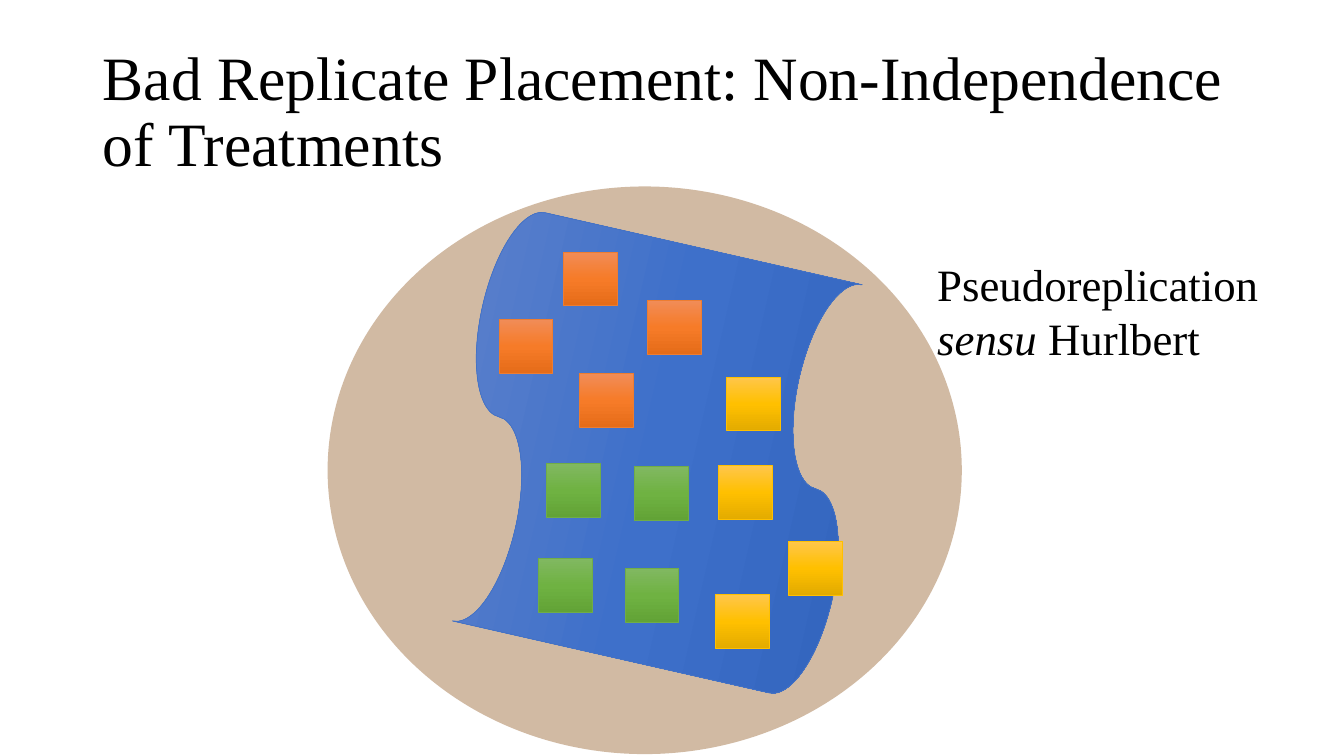
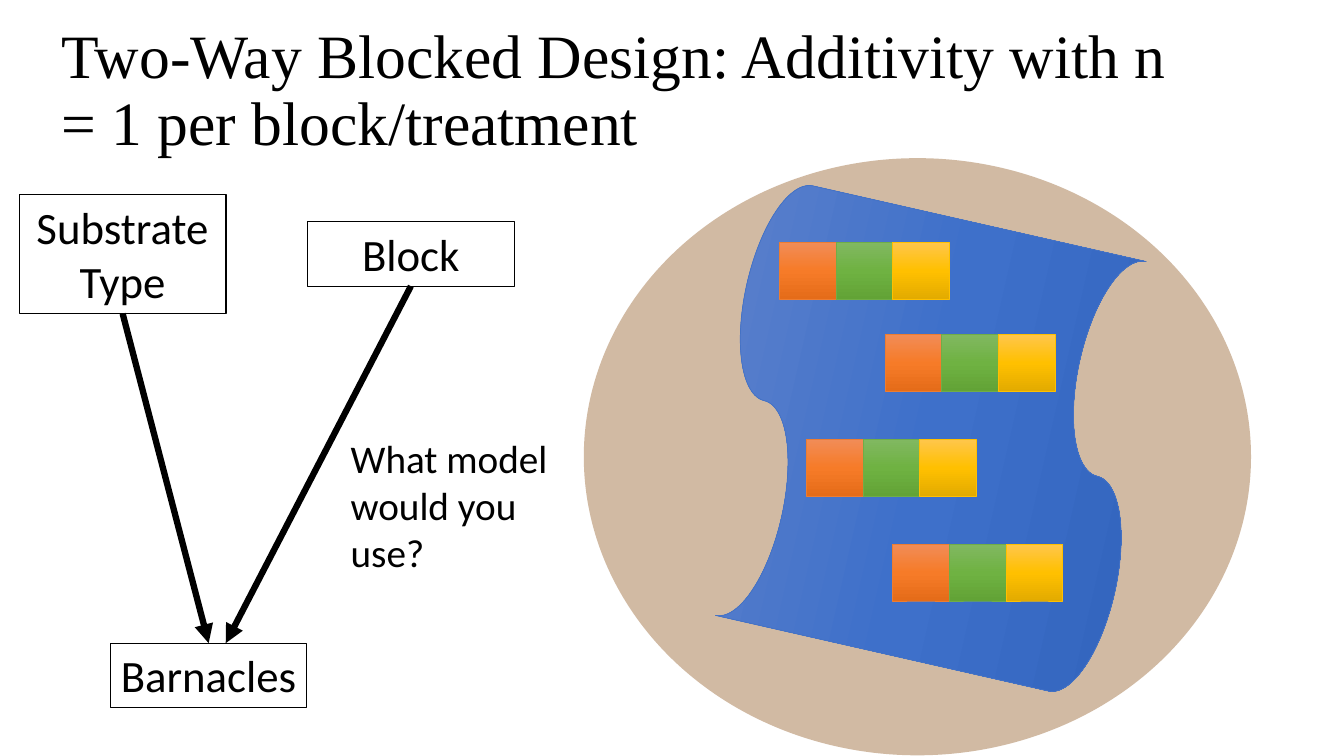
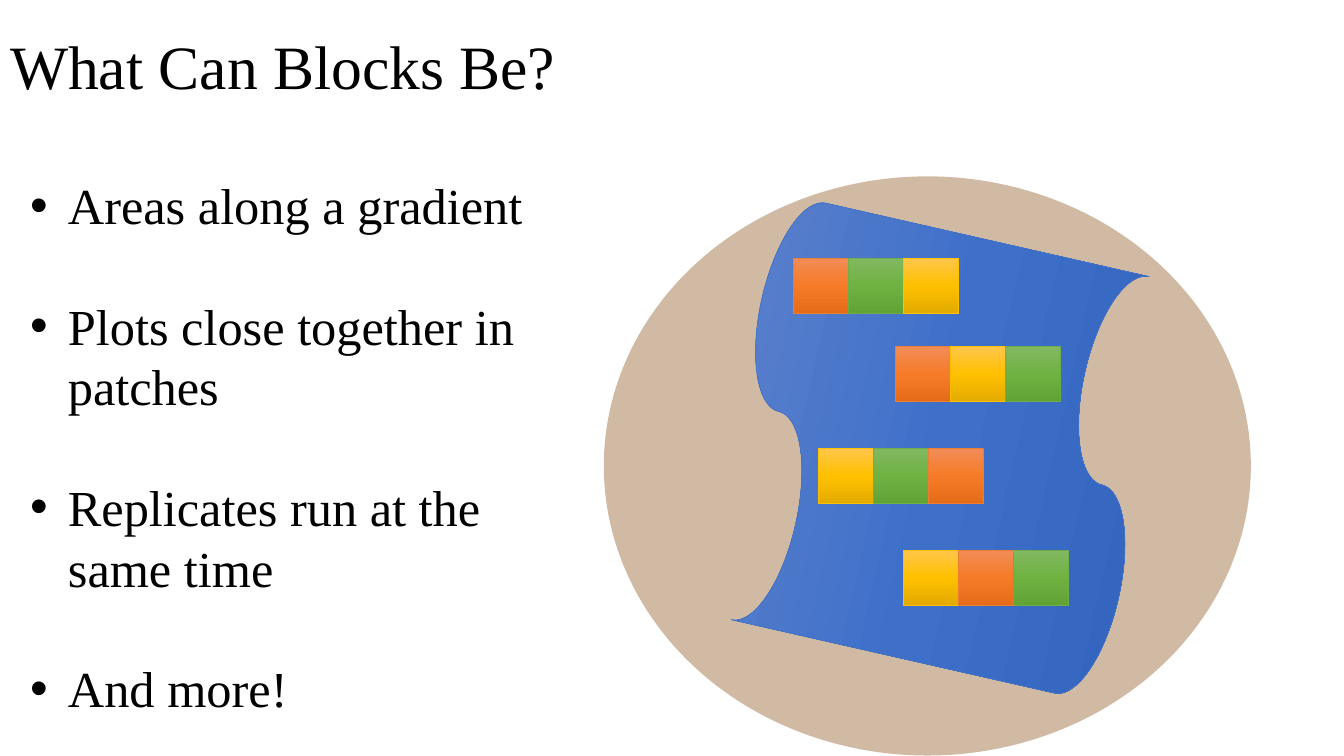
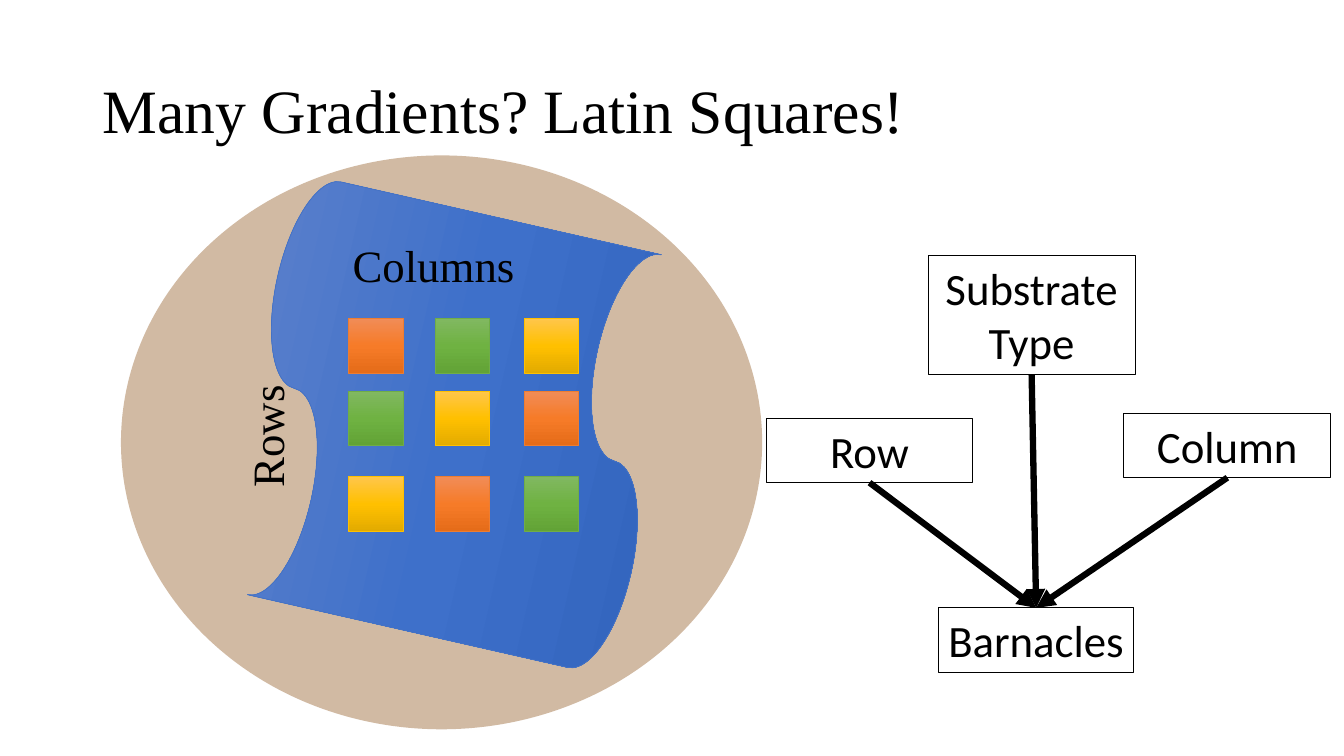
"""Build four slides on replicate placement, blocking and Latin squares."""
from copy import deepcopy
from dataclasses import dataclass
from itertools import product
from typing import NamedTuple

from lxml.etree import SubElement
from pptx import Presentation
from pptx.dml.color import RGBColor
from pptx.enum.shapes import MSO_CONNECTOR as Connector
from pptx.enum.shapes import MSO_SHAPE as Preset
from pptx.enum.text import MSO_ANCHOR as Anchor
from pptx.enum.text import MSO_AUTO_SIZE as AutoSize
from pptx.enum.text import PP_ALIGN as Align
from pptx.oxml.ns import qn
from pptx.util import Pt

BLACK = RGBColor(0x00, 0x00, 0x00)
SAND = RGBColor(0x99, 0x66, 0x33)
SAND_OPACITY = 45000
SERIF, SANS = "Times New Roman", "Calibri"
BOX_WIDTH, BOX_HEIGHT, TALL_BOX_HEIGHT = 147.8, 46, 85
BOTTOM, TOP = 2, 0


class Frame(NamedTuple):
    """Position and size in points."""
    left: float
    top: float
    width: float
    height: float

    def lengths(self) -> list:
        return [Pt(value) for value in self]


@dataclass(frozen=True)
class Treatment:
    """Gradient from top to bottom, and outline colour."""
    light: RGBColor
    middle: RGBColor
    dark: RGBColor
    outline: RGBColor


def treatment(*codes: str) -> Treatment:
    """Make a treatment from four hex codes."""
    return Treatment(*map(RGBColor.from_string, codes))


WATER = treatment("6183CB", "3E70CA", "3062BB", "4472C4")
ORANGE = treatment("F18C57", "F67B28", "E56C19", "ED7D31")
GREEN = treatment("81B861", "6FB242", "62A336", "70AD47")
YELLOW = treatment("FFC64B", "FFC000", "E3AB00", "FFC000")
TREATMENTS = (ORANGE, GREEN, YELLOW)


class Plot(NamedTuple):
    """One experimental plot."""
    left: float
    top: float
    treatment: Treatment


class Block(NamedTuple):
    """A row of adjoining plots."""
    left: float
    top: float
    treatments: tuple[Treatment, ...] = TREATMENTS


@dataclass(frozen=True)
class Shore:
    """Sandy ellipse with a pool; every size follows from its width."""
    left: float
    top: float
    width: float

    @property
    def plot_side(self) -> float:
        return self.width * 0.085

    def sand(self) -> Frame:
        return Frame(self.left, self.top, self.width, self.width * 0.895)

    def pool(self) -> Frame:
        return Frame(self.left + self.width * 0.19, self.top + self.width * 0.1,
                     self.width * 0.66, self.width * 0.64)


def add_gradient_shape(shapes, preset: Preset, frame: Frame, look: Treatment):
    """Draw a preset shape with a three-stop gradient."""
    shape = shapes.add_shape(preset, *frame.lengths())
    shape.shadow.inherit = False
    shape.fill.gradient()
    shape.fill.gradient_angle = 270
    stop_list = shape._element.spPr.find(qn("a:gradFill")).find(qn("a:gsLst"))
    stop_list.insert(1, deepcopy(stop_list[0]))
    colours = (look.light, look.middle, look.dark)
    for stop, position, colour in zip(shape.fill.gradient_stops, (0, 0.5, 1), colours):
        stop.position = position
        stop.color.rgb = colour
    shape.line.color.rgb = look.outline
    shape.line.width = Pt(0.5)
    return shape


def add_shore(slide, shore: Shore, plots: list[Plot]) -> None:
    """Draw the sand, the pool and its plots as one group."""
    shapes = slide.shapes.add_group_shape().shapes
    sand = shapes.add_shape(Preset.OVAL, *shore.sand().lengths())
    sand.shadow.inherit = False
    sand.fill.solid()
    sand.fill.fore_color.rgb = SAND
    colour = sand._element.spPr.find(qn("a:solidFill"))[0]
    SubElement(colour, qn("a:alpha"), val=str(SAND_OPACITY))
    sand.line.fill.background()
    pool = add_gradient_shape(shapes, Preset.WAVE, shore.pool(), WATER)
    pool._element.spPr.find(qn("a:prstGeom")).set("prst", "flowChartPunchedTape")
    pool.rotation = 282.8
    for plot in plots:
        frame = Frame(plot.left, plot.top, shore.plot_side, shore.plot_side)
        add_gradient_shape(shapes, Preset.RECTANGLE, frame, plot.treatment)


def block_plots(shore: Shore, blocks: list[Block]) -> list[Plot]:
    """Lay the plots of each block side by side."""
    return [Plot(block.left + index * shore.plot_side, block.top, look)
            for block in blocks for index, look in enumerate(block.treatments)]


def add_titled_slide(deck, title: str, left: float, top: float, width: float = 828):
    """Add a title-only slide and style its title."""
    slide = deck.slides.add_slide(deck.slide_layouts[5])
    heading = slide.shapes.title
    heading.left, heading.top, heading.width, heading.height = (
        Frame(left, top, width, 104.4).lengths())
    frame = heading.text_frame
    frame.text = title
    frame.auto_size = AutoSize.NONE
    frame.vertical_anchor = Anchor.MIDDLE
    paragraph = frame.paragraphs[0]
    paragraph.alignment = Align.LEFT
    paragraph.line_spacing = 0.9
    set_font(paragraph, SERIF, 44)
    return slide


def set_font(paragraph, face: str, size: float) -> None:
    """Set the font of a whole paragraph."""
    paragraph.font.name = face
    paragraph.font.size = Pt(size)
    paragraph.font.color.rgb = BLACK


def add_text(slide, frame: Frame, text: str, face: str = SERIF, size: float = 32):
    """Add wrapped text, one paragraph per line."""
    box = slide.shapes.add_textbox(*frame.lengths())
    box.text_frame.word_wrap = True
    box.text_frame.text = text
    for paragraph in box.text_frame.paragraphs:
        set_font(paragraph, face, size)
    return box


def add_factor(slide, text: str, left: float, top: float, width: float = BOX_WIDTH):
    """Add an outlined box of the causal diagram."""
    height = TALL_BOX_HEIGHT if "\n" in text else BOX_HEIGHT
    box = add_text(slide, Frame(left, top, width, height), text, SANS)
    box.text_frame.word_wrap = False
    box.line.color.rgb = BLACK
    box.line.width = Pt(0.75)
    for paragraph in box.text_frame.paragraphs:
        paragraph.alignment = Align.CENTER
    return box


def add_response(slide, left: float, top: float):
    """Add the box that the arrows point to."""
    return add_factor(slide, "Barnacles", left, top, 139.7)


def add_arrow(slide, factor, response, shift: float = 0) -> None:
    """Point from a factor to the response, shifted sideways if asked."""
    arrow = slide.shapes.add_connector(
        Connector.STRAIGHT, factor.left + factor.width // 2, factor.top + factor.height,
        response.left + response.width // 2 + Pt(shift), response.top)
    arrow.begin_connect(factor, BOTTOM)
    if not shift:
        arrow.end_connect(response, TOP)
    arrow.line.color.rgb = BLACK
    arrow.line.width = Pt(4.5)
    SubElement(arrow.line._get_or_add_ln(), qn("a:tailEnd"), type="triangle")
    SubElement(arrow._element.spPr, qn("a:effectLst"))


def add_bullets(slide, frame: Frame, text: str) -> None:
    """Add a widely spaced bullet list."""
    for paragraph in add_text(slide, frame, text, SERIF, 36).text_frame.paragraphs:
        paragraph.space_after = Pt(43)
        properties = paragraph._p.get_or_add_pPr()
        properties.set("marL", str(Pt(27)))
        properties.set("indent", str(Pt(-27)))
        font = properties.find(qn("a:defRPr"))
        bullet_font = SubElement(properties, qn("a:buFont"), typeface="Arial")
        bullet = SubElement(properties, qn("a:buChar"), char="•")
        font.addprevious(bullet_font)
        font.addprevious(bullet)


def build_bad_placement(deck) -> None:
    """Show treatments clustered in the pool."""
    slide = add_titled_slide(
        deck, "Bad Replicate Placement: Non-Independence of Treatments", 66.2, 28.8)
    clusters = {
        ORANGE: [(356.4, 228.2), (414, 267), (402.5, 180), (462.2, 214.6)],
        GREEN: [(446.4, 406), (384.5, 399), (453, 333.4), (390.2, 331.2)],
        YELLOW: [(513.4, 332.6), (519, 269.3), (511.2, 424.8), (563, 386.6)],
    }
    plots = [Plot(left, top, look)
             for look, corners in clusters.items() for left, top in corners]
    add_shore(slide, Shore(234, 133.2, 453), plots)
    note = add_text(slide, Frame(662.4, 180, 297.4, 85), "Pseudoreplication ")
    paragraph = note.text_frame.paragraphs[0]
    sensu = paragraph.add_run()
    sensu.text = "sensu "
    sensu.font.italic = True
    paragraph.add_run().text = "Hurlbert"


def build_blocked_design(deck) -> None:
    """Show the blocked design and its causal diagram."""
    slide = add_titled_slide(
        deck, "Two-Way Blocked Design: Additivity with n = 1 per block/treatment", 36.7, 13.7)
    shore = Shore(417, 113, 476.6)
    blocks = [Block(556.6, 173.2), Block(632.2, 239), Block(576, 314), Block(637.6, 388.8)]
    add_shore(slide, shore, block_plots(shore, blocks))
    barnacles = add_response(slide, 79.2, 459.4)
    substrate = add_factor(slide, "Substrate\nType", 13.7, 139)
    block = add_factor(slide, "Block", 219.6, 158.4)
    add_arrow(slide, substrate, barnacles)
    add_arrow(slide, block, barnacles, shift=12.2)
    add_text(slide, Frame(243.4, 306.7, 165, 108.7), "What model would you use?", SANS, 28)


def build_block_examples(deck) -> None:
    """List what blocks can be, beside shuffled blocks."""
    slide = add_titled_slide(deck, "What Can Blocks Be?", 0, -2.2, 960)
    shore = Shore(431.3, 126, 462.2)
    blocks = [
        Block(566.6, 184.3),
        Block(639.4, 247.7, (ORANGE, YELLOW, GREEN)),
        Block(584.6, 320.4, (YELLOW, GREEN, ORANGE)),
        Block(645, 393, (YELLOW, ORANGE, GREEN)),
    ]
    add_shore(slide, shore, block_plots(shore, blocks))
    add_bullets(slide, Frame(14.4, 121, 417, 399.6),
                "Areas along a gradient\nPlots close together in patches\n"
                "Replicates run at the same time\nAnd more!")


def build_latin_square(deck) -> None:
    """Show a Latin square and its causal diagram."""
    slide = add_titled_slide(deck, "Many Gradients? Latin Squares!", 66.2, 28.8)
    rows, columns = (227.5, 279.4, 340.6), (249, 311, 374.4)
    plots = [Plot(left, top, TREATMENTS[(row + column) % len(TREATMENTS)])
             for (row, top), (column, left) in product(enumerate(rows), enumerate(columns))]
    add_shore(slide, Shore(86.4, 111, 458), plots)
    add_text(slide, Frame(144.7, 286.6, 91.4, 46), "Rows").rotation = 270
    add_text(slide, Frame(244.8, 166.3, 141, 46), "Columns")
    barnacles = add_response(slide, 670.3, 434.2)
    for text, left, top in (("Substrate\nType", 663, 182.6),
                            ("Column", 802.8, 295.2), ("Row", 547.2, 298.8)):
        add_arrow(slide, add_factor(slide, text, left, top), barnacles)


def main() -> None:
    """Build and save the presentation."""
    deck = Presentation()
    deck.slide_width, deck.slide_height = Pt(960), Pt(540)
    for build in (build_bad_placement, build_blocked_design,
                  build_block_examples, build_latin_square):
        build(deck)
    deck.save("out.pptx")


if __name__ == "__main__":
    main()
